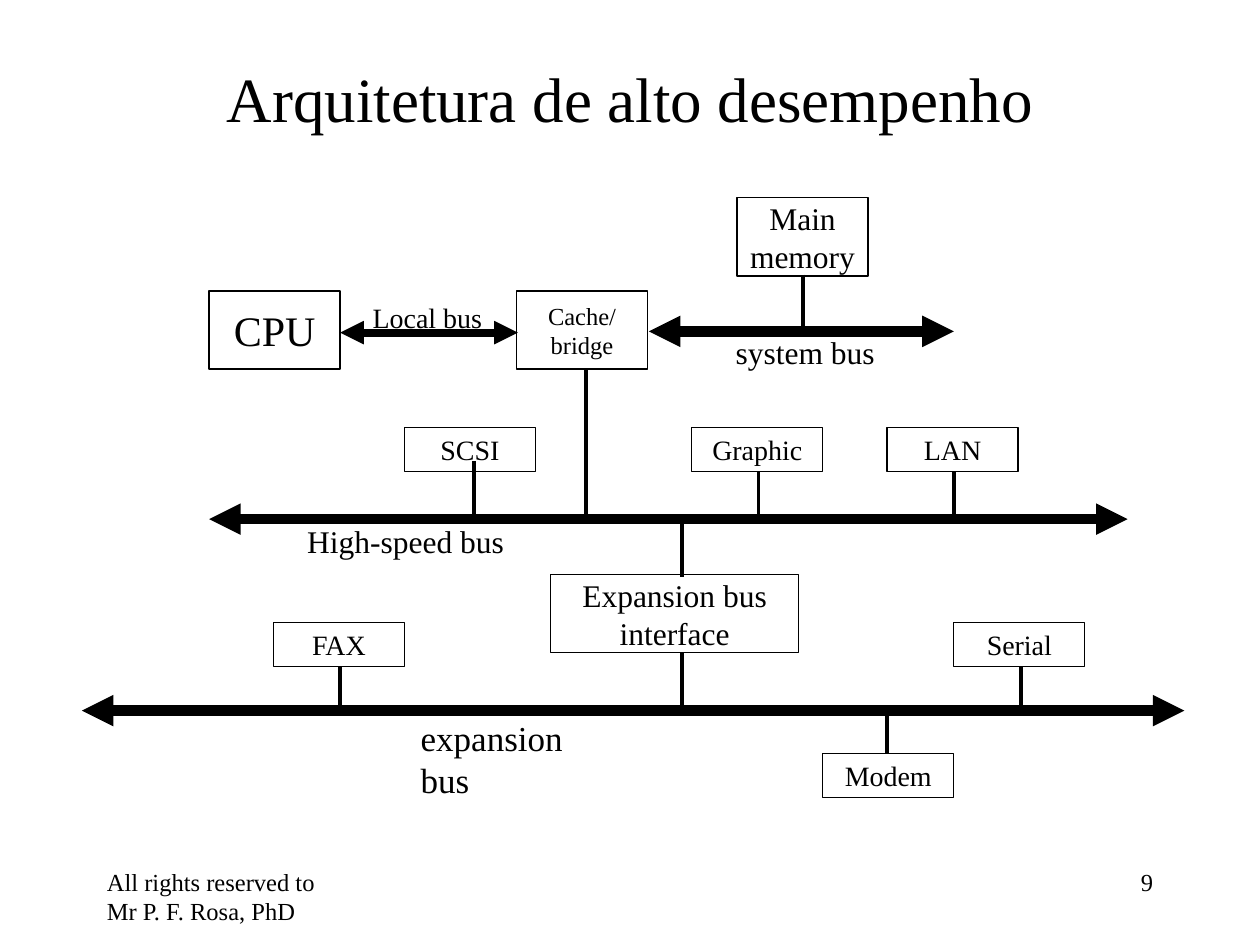
from typing import NamedTuple

from lxml.etree import SubElement
from pptx import Presentation
from pptx.dml.color import RGBColor
from pptx.enum.shapes import MSO_CONNECTOR, MSO_SHAPE
from pptx.enum.text import MSO_ANCHOR as Anchor, MSO_AUTO_SIZE as AutoSize, PP_ALIGN as Align
from pptx.oxml.ns import qn
from pptx.util import Inches, Pt

BLACK = RGBColor(0, 0, 0)
FONT = "Times New Roman"
BOX_WIDTH, TALL, SHORT = 1.04, 0.62, 0.35
SYSTEM_Y, LOCAL_Y, HIGH_SPEED_Y, EXPANSION_Y = 2.63, 2.64, 4.12, 5.64


class Box(NamedTuple):
    text: str
    left: float
    top: float
    height: float = SHORT
    size: int = 16
    width: float = BOX_WIDTH


class Label(NamedTuple):
    text: str
    left: float
    top: float
    width: float
    height: float
    size: int
    wrap: bool = False
    align: Align = Align.LEFT


class Bus(NamedTuple):
    left: float
    right: float
    y: float
    weight: float = 6


class Link(NamedTuple):
    x: float
    top: float
    bottom: float


BOXES = [
    Box("CPU", 1.66, 2.31, TALL, 24),
    Box("Cache/bridge", 4.1, 2.31, TALL, 14),
    Box("Main\nmemory", 5.85, 1.57, TALL, 18),
    Box("Expansion bus\ninterface", 4.37, 4.56, TALL, 18, 1.97),
    Box("SCSI", 3.21, 3.39),
    Box("Graphic", 5.49, 3.39),
    Box("LAN", 7.04, 3.39),
    Box("FAX", 2.17, 4.94),
    Box("Serial", 7.57, 4.94),
    Box("Modem", 6.53, 5.98),
]
BUSES = [
    Bus(2.7, 4.11, LOCAL_Y, 4.5),
    Bus(5.15, 7.57, SYSTEM_Y),
    Bus(1.66, 8.95, HIGH_SPEED_Y),
    Bus(0.65, 9.4, EXPANSION_Y),
]
LINKS = [
    Link(6.37, 2.18, SYSTEM_Y),
    Link(4.65, 2.93, HIGH_SPEED_Y),
    Link(3.76, 3.66, HIGH_SPEED_Y),
    Link(6.02, 3.74, 4.09),
    Link(7.57, 3.74, 4.09),
    Link(5.41, HIGH_SPEED_Y, 4.58),
    Link(5.41, 5.18, EXPANSION_Y),
    Link(2.7, 5.29, EXPANSION_Y),
    Link(8.1, 5.29, EXPANSION_Y),
    Link(7.04, EXPANSION_Y, 5.98),
]
LABELS = [
    Label("Local bus", 2.86, 2.34, 1.07, 0.37, 16),
    Label("system bus", 5.74, 2.59, 1.31, 0.4, 18),
    Label("High-speed bus", 2.34, 4.09, 1.76, 0.4, 18),
    Label("expansion bus", 3.24, 5.64, 1.78, 0.43, 20, True),
    Label("All rights reserved to Mr P. F. Rosa, PhD", 0.75, 6.83, 2.08, 0.5, 14, True),
    Label("9", 7.17, 6.83, 2.08, 0.5, 14, True, Align.RIGHT),
]


def write(frame, text: str, size: float, align: Align, anchor: Anchor, wrap: bool = True) -> None:
    frame.auto_size = AutoSize.NONE
    frame.word_wrap = wrap
    frame.vertical_anchor = anchor
    for index, line in enumerate(text.split("\n")):
        paragraph = frame.add_paragraph() if index else frame.paragraphs[0]
        paragraph.alignment = align
        run = paragraph.add_run()
        run.text = line
        run.font.name = FONT
        run.font.size = Pt(size)
        run.font.color.rgb = BLACK


def add_box(shapes, box: Box) -> None:
    shape = shapes.add_shape(MSO_SHAPE.RECTANGLE, Inches(box.left), Inches(box.top),
                             Inches(box.width), Inches(box.height))
    shape.shadow.inherit = False
    shape.fill.background()
    shape.line.color.rgb = BLACK
    shape.line.width = Pt(0.75)
    write(shape.text_frame, box.text, box.size, Align.CENTER, Anchor.MIDDLE)


def add_label(shapes, label: Label) -> None:
    shape = shapes.add_textbox(Inches(label.left), Inches(label.top),
                               Inches(label.width), Inches(label.height))
    write(shape.text_frame, label.text, label.size, label.align, Anchor.TOP, label.wrap)


def add_line(shapes, x1: float, y1: float, x2: float, y2: float,
             weight: float, arrows: bool = False) -> None:
    connector = shapes.add_connector(MSO_CONNECTOR.STRAIGHT, Inches(x1), Inches(y1),
                                     Inches(x2), Inches(y2))
    connector.line.color.rgb = BLACK
    connector.line.width = Pt(weight)
    if arrows:
        outline = connector.line._get_or_add_ln()
        for end in ("a:headEnd", "a:tailEnd"):
            SubElement(outline, qn(end), type="triangle")
    SubElement(connector._element.spPr, qn("a:effectLst"))


presentation = Presentation()
presentation.slide_width, presentation.slide_height = Inches(10), Inches(7.5)
slide = presentation.slides.add_slide(presentation.slide_layouts[5])

# Title
title = slide.shapes.title
title.left, title.top = Inches(0.75), Inches(0.29)
title.width, title.height = Inches(8.5), Inches(0.97)
write(title.text_frame, "Arquitetura de alto desempenho", 36, Align.CENTER, Anchor.MIDDLE)

# Components
for box in BOXES:
    add_box(slide.shapes, box)

# Buses and the links between them
for bus in BUSES:
    add_line(slide.shapes, bus.left, bus.y, bus.right, bus.y, bus.weight, arrows=True)
for link in LINKS:
    add_line(slide.shapes, link.x, link.top, link.x, link.bottom, 2.25)

# Bus names and footer
for label in LABELS:
    add_label(slide.shapes, label)

presentation.save("out.pptx")
